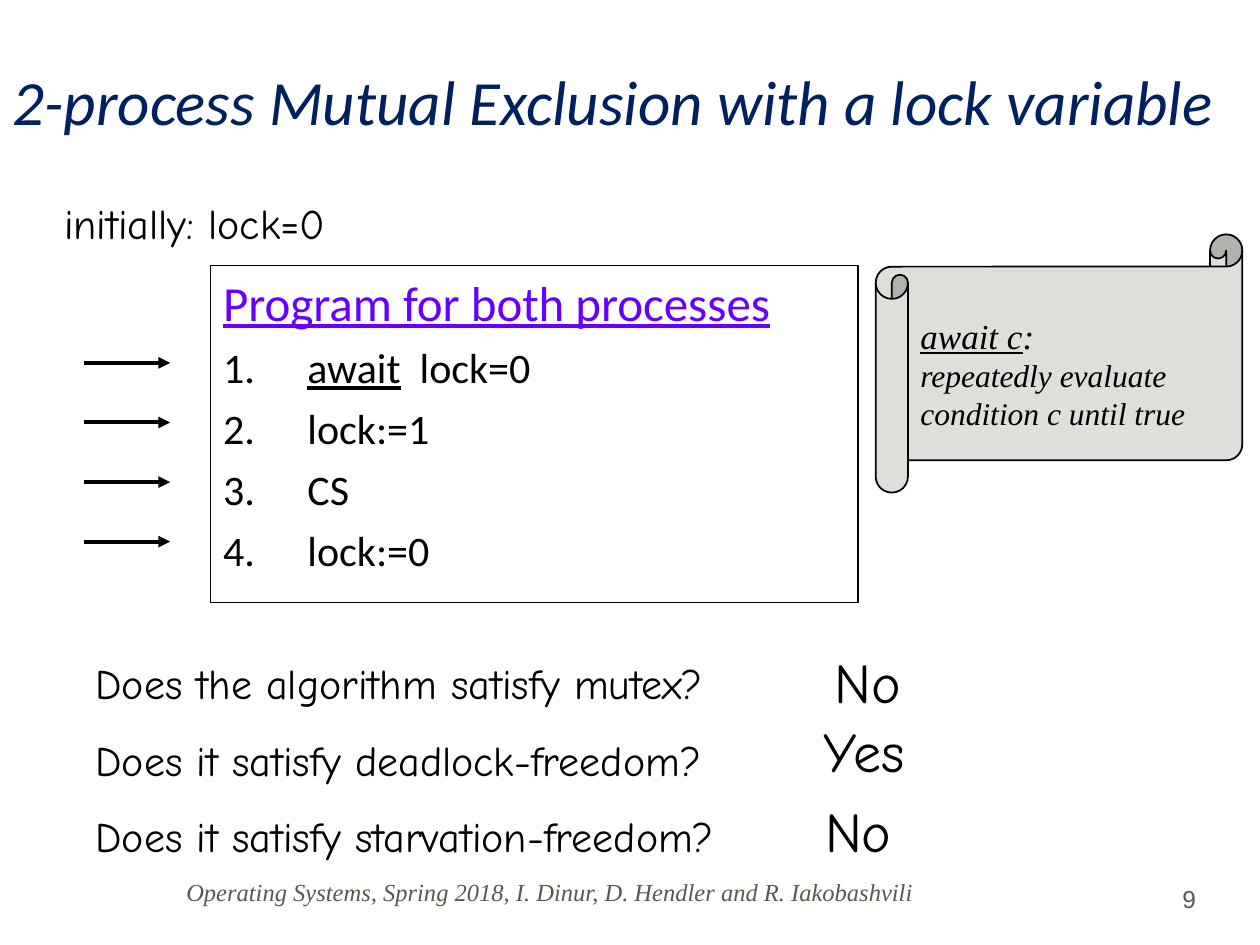
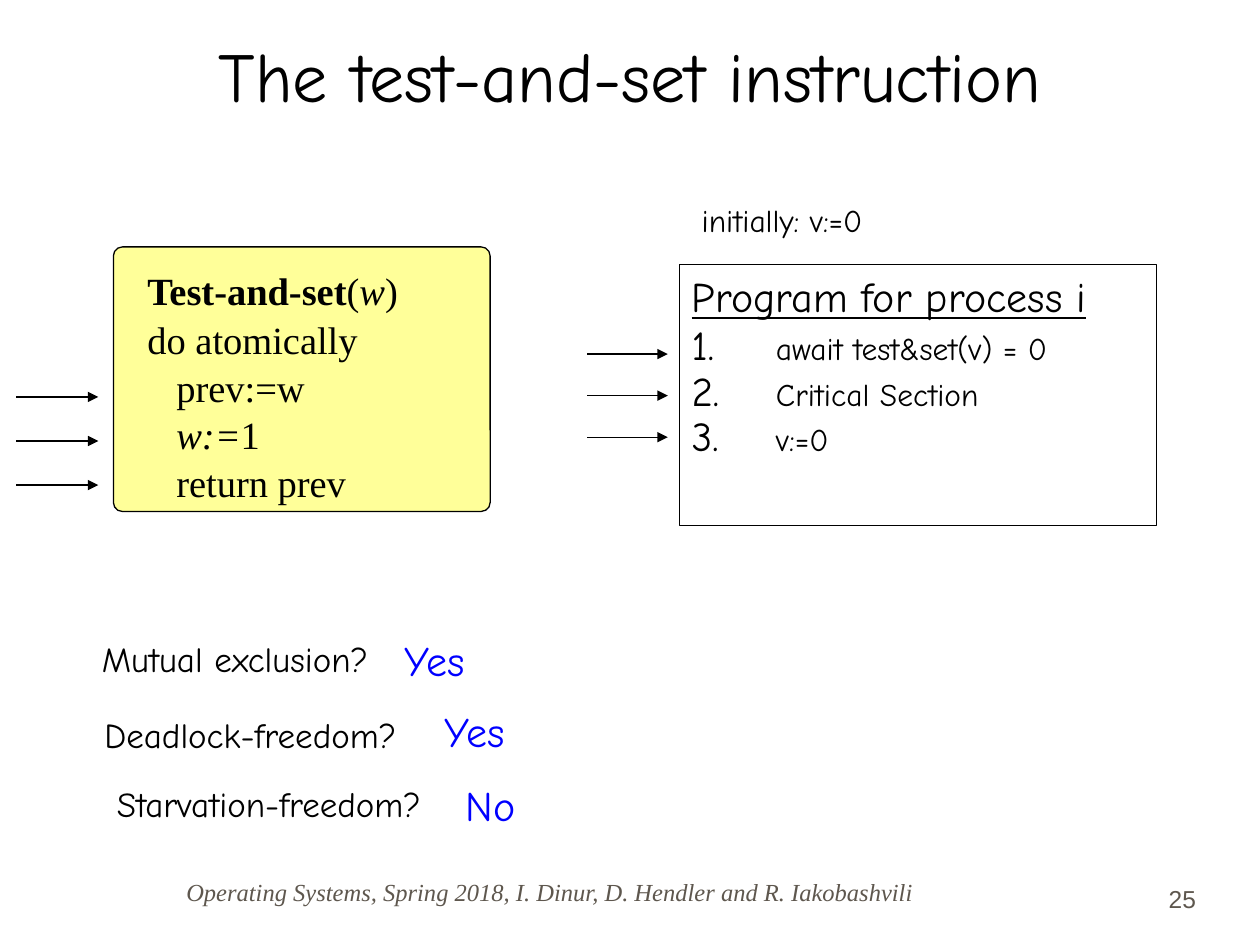
from lxml.etree import SubElement
from pptx import Presentation
from pptx.dml.color import RGBColor
from pptx.enum.shapes import MSO_CONNECTOR, MSO_SHAPE as SHAPE
from pptx.enum.text import MSO_ANCHOR as ANCHOR, MSO_AUTO_SIZE, PP_ALIGN as ALIGN
from pptx.oxml.ns import qn
from pptx.util import Inches, Pt

BLACK = RGBColor(0x00, 0x00, 0x00)
NAVY = RGBColor(0x00, 0x20, 0x60)
VIOLET = RGBColor(0x66, 0x00, 0xFF)
BLUE = RGBColor(0x00, 0x00, 0xFF)
TAUPE = RGBColor(0x5E, 0x57, 0x4E)
PARCHMENT = RGBColor(0xE0, 0xDE, 0xDA)
YELLOW = RGBColor(0xFF, 0xFF, 0x99)
COMIC, CALIBRI, TIMES, ARIAL = "Comic Neue", "Calibri", "Times New Roman", "Arial"
FOOTER = "Operating Systems, Spring 2018, I. Dinur, D. Hendler and R. Iakobashvili"
PLAIN, BOLD, ITALIC, UNDERLINE = {}, {"bold": True}, {"italic": True}, {"underline": True}


def set_marker(paragraph, indent, hanging, numbered, number_scale):
    """Set the indents of a paragraph and its automatic number, if any."""
    properties = paragraph._p.get_or_add_pPr()
    properties.set("marL", str(Inches(indent)))
    properties.set("indent", str(-Inches(hanging)))
    if numbered:
        SubElement(properties, qn("a:buSzPct"), val=str(number_scale * 1000))
        SubElement(properties, qn("a:buAutoNum"), type="arabicPeriod")
    else:
        SubElement(properties, qn("a:buNone"))


def write(frame, lines, size=24, font=COMIC, color=BLACK, align=ALIGN.LEFT, before=0,
          spacing=1.0, indent=0, hanging=0, numbered=False, number_scale=100, **style):
    """Append lines, each a string or a list of (text, style) runs, to a frame."""
    for line in lines:
        paragraph = frame.add_paragraph() if frame.text else frame.paragraphs[0]
        paragraph.alignment = align
        paragraph.space_before = Pt(before)
        paragraph.line_spacing = spacing
        set_marker(paragraph, indent, hanging, numbered, number_scale)
        for text, run_style in [(line, PLAIN)] if isinstance(line, str) else line:
            run = paragraph.add_run()
            run.text = text
            run.font.name, run.font.size = font, Pt(size)
            run.font.color.rgb = color
            for name, value in {**style, **run_style}.items():
                setattr(run.font, name, value)


def prepare(frame, anchor=ANCHOR.TOP, insets=(0.1, 0.05)):
    """Set wrapping, anchor and insets of a text frame and return it."""
    frame.word_wrap = True
    frame.auto_size = MSO_AUTO_SIZE.NONE
    frame.vertical_anchor = anchor
    frame.margin_left = frame.margin_right = Inches(insets[0])
    frame.margin_top = frame.margin_bottom = Inches(insets[1])
    return frame


def add_text(slide, box, lines, anchor=ANCHOR.TOP, insets=(0.1, 0.05), **style):
    """Add a text box."""
    textbox = slide.shapes.add_textbox(*map(Inches, box))
    write(prepare(textbox.text_frame, anchor, insets), lines, **style)


def add_panel(slide, kind, box, fill=None, width=0.75, adjustment=None):
    """Add an outlined preset shape and return its text frame."""
    panel = slide.shapes.add_shape(kind, *map(Inches, box))
    panel.shadow.inherit = False
    if fill is None:
        panel.fill.background()
    else:
        panel.fill.solid()
        panel.fill.fore_color.rgb = fill
    panel.line.color.rgb, panel.line.width = BLACK, Pt(width)
    if adjustment is not None:
        panel.adjustments[0] = adjustment
    return prepare(panel.text_frame)


def place(placeholder, box):
    """Move a placeholder to a box."""
    placeholder.left, placeholder.top, placeholder.width, placeholder.height = map(Inches, box)


def add_arrows(slide, left, top, length, pitch, count, width):
    """Add a column of equally spaced arrows that point right."""
    for step in range(count):
        y = Inches(top + step * pitch)
        arrow = slide.shapes.add_connector(
            MSO_CONNECTOR.STRAIGHT, Inches(left), y, Inches(left + length), y)
        arrow.line.color.rgb, arrow.line.width = BLACK, Pt(width)
        properties = arrow.element.spPr
        SubElement(properties.find(qn("a:ln")), qn("a:tailEnd"), type="triangle")
        SubElement(properties, qn("a:effectLst"))


def start_slide(deck, layout, number, title, title_box, **title_style):
    """Add a slide with its title, footer and number."""
    slide = deck.slides.add_slide(deck.slide_layouts[layout])
    place(slide.shapes.title, title_box)
    write(prepare(slide.shapes.title.text_frame, ANCHOR.MIDDLE), [title], **title_style)
    add_text(slide, (1.38, 6.9, 6.38, 0.34), [FOOTER], ANCHOR.BOTTOM,
             size=14, font=TIMES, color=TAUPE, italic=True)
    add_text(slide, (8.44, 6.8, 1.15, 0.5), [str(number)], ANCHOR.BOTTOM,
             size=14, font=ARIAL, color=TAUPE, align=ALIGN.RIGHT)
    return slide


def add_lock_program(slide, box):
    """Fill the body placeholder with the lock program and point at its steps."""
    program = slide.placeholders[1]
    place(program, box)
    program.line.color.rgb, program.line.width = BLACK, Pt(0.75)
    frame = prepare(program.text_frame)
    layout = dict(font=CALIBRI, indent=0.67, hanging=0.67)
    write(frame, ["Program for both processes"], size=28, color=VIOLET, before=7,
          underline=True, **layout)
    write(frame, [[("await", UNDERLINE), ("  lock=0", PLAIN)], "lock:=1", "CS", "lock:=0"],
          before=6, numbered=True, **layout)
    left, top = box[:2]
    add_arrows(slide, left - 1, top + 0.77, 0.68, 0.473, 4, 2.25)


def add_await_scroll(slide, box):
    """Add the scroll that explains await."""
    frame = add_panel(slide, SHAPE.HORIZONTAL_SCROLL, box, PARCHMENT, 1, 0.125)
    frame.margin_top = Inches(0.38)
    write(frame, [[("await c", UNDERLINE), (":", PLAIN)]], size=20, font=TIMES, italic=True)
    write(frame, ["repeatedly evaluate condition c until true"],
          size=18, font=TIMES, italic=True)


def add_lock_questions(slide, left, top):
    """Add the questions about the lock algorithm with their answers."""
    add_text(slide, (left, top, 8.2, 1.72),
             ["Does the algorithm satisfy mutex?", "Does it satisfy deadlock-freedom?",
              "Does it satisfy starvation-freedom?"], before=15)
    answers = [("No", 4.81, -0.08, ALIGN.RIGHT), ("Yes", 4.84, 0.47, ALIGN.RIGHT),
               ("No", 5.79, 1.1, ALIGN.LEFT)]
    for answer, dx, dy, align in answers:
        add_text(slide, (left + dx, top + dy, 1.78, 0.64), [answer], size=32, align=align)


def add_test_and_set(slide, box):
    """Add the definition of test-and-set and point at its steps."""
    left, top, width, height = box
    add_panel(slide, SHAPE.ROUNDED_RECTANGLE, box, YELLOW, adjustment=0.034)
    definition = slide.shapes.add_textbox(
        *map(Inches, (left + 0.27, top + 0.19, width - 0.48, height - 0.24)))
    frame = prepare(definition.text_frame, insets=(0, 0))
    write(frame, [[("Test-and-set", BOLD), ("(", PLAIN), ("w", ITALIC), (")", PLAIN)]],
          size=22, font=TIMES, spacing=0.95)
    write(frame, ["do atomically"], size=22, font=TIMES, spacing=1.03)
    write(frame, ["prev:=w", [("w:=", ITALIC), ("1", PLAIN)], "return prev"],
          size=22, font=TIMES, spacing=1.03, indent=0.23)
    add_arrows(slide, left - 0.77, top + 1.19, 0.65, 0.35, 3, 0.75)


def add_process_program(slide, box):
    """Add the program of process i and point at its steps."""
    left, top = box[:2]
    add_text(slide, (left + 0.08, top - 0.55, 2.21, 0.4), ["initially: v:=0"], size=18)
    frame = add_panel(slide, SHAPE.RECTANGLE, box)
    layout = dict(indent=0.67, hanging=0.67)
    write(frame, ["Program for process i"], before=6, underline=True, **layout)
    write(frame, ["await test&set(v) = 0", "Critical Section", "v:=0"], size=18,
          before=4.5, numbered=True, number_scale=130, **layout)
    add_arrows(slide, left - 0.73, top + 0.71, 0.64, 0.33, 3, 0.75)


def add_property_questions(slide, left, top):
    """Add the questions about test-and-set with their answers."""
    questions = [("Mutual exclusion?", 0, 0, "Yes", 2.28, -0.02),
                 ("Deadlock-freedom?", 0.02, 0.6, "Yes", 2.6, 0.54),
                 ("Starvation-freedom?", 0.12, 1.15, "No", 2.68, 1.13)]
    for question, dx, dy, answer, answer_dx, answer_dy in questions:
        add_text(slide, (left + dx, top + dy, 2.7, 0.44), [question], size=20)
        add_text(slide, (left + answer_dx, top + answer_dy, 0.8, 0.5), [answer],
                 color=BLUE, align=ALIGN.RIGHT)


def build_lock_slide(deck):
    """Build the slide about mutual exclusion with a lock variable."""
    slide = start_slide(deck, 1, 9, "2-process Mutual Exclusion with a lock variable",
                        (0, 0.5, 10, 0.59), size=36, font=CALIBRI, color=NAVY, italic=True)
    add_text(slide, (0.41, 1.52, 6.42, 0.5), ["initially: lock=0"])
    add_lock_program(slide, (1.67, 2.11, 5.14, 2.67))
    add_lock_questions(slide, 0.66, 5.17)
    add_await_scroll(slide, (6.95, 1.86, 2.91, 2.05))


def build_test_and_set_slide(deck):
    """Build the slide about the test-and-set instruction."""
    slide = start_slide(deck, 5, 25, "The test-and-set instruction",
                        (0.75, -0.03, 8.5, 1.25), size=40, align=ALIGN.CENTER)
    add_test_and_set(slide, (0.9, 1.96, 2.99, 2.1))
    add_process_program(slide, (5.39, 2.1, 3.79, 2.07))
    add_property_questions(slide, 0.71, 5.01)


def main():
    """Build and save the presentation."""
    deck = Presentation()
    deck.slide_width, deck.slide_height = Inches(10), Inches(7.5)
    build_lock_slide(deck)
    build_test_and_set_slide(deck)
    deck.save("out.pptx")


if __name__ == "__main__":
    main()
